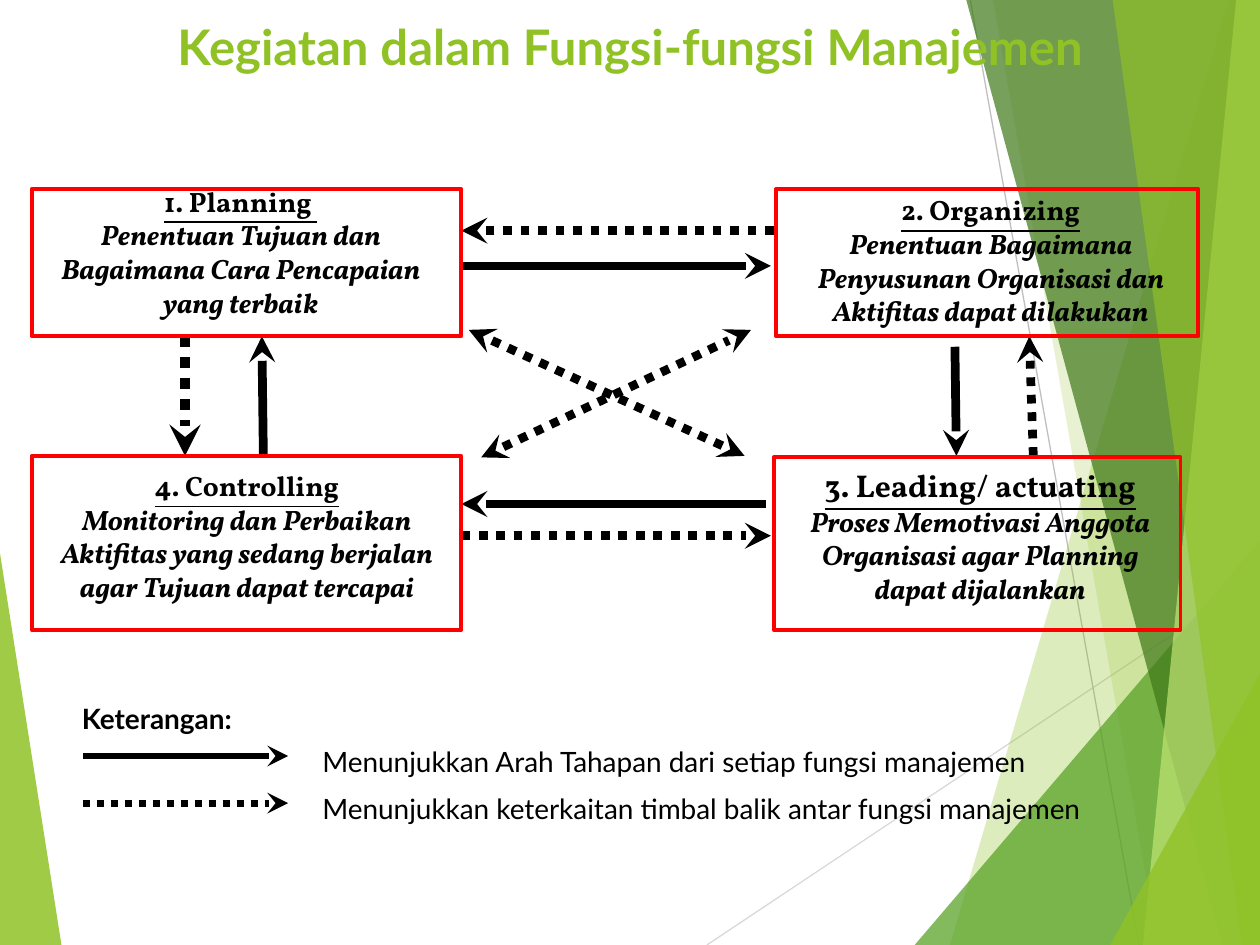
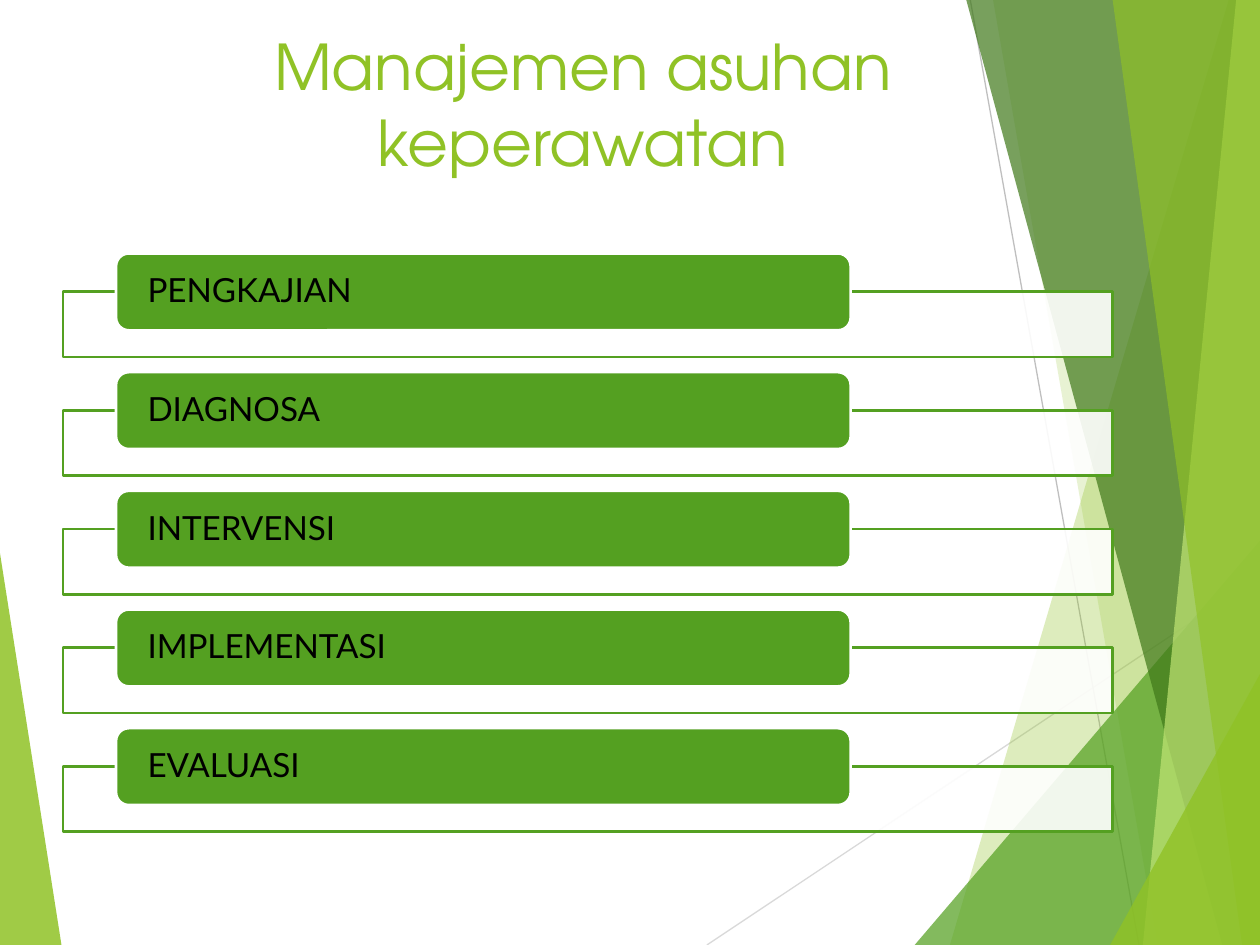
from dataclasses import dataclass

from lxml import etree
from pptx import Presentation
from pptx.dml.color import RGBColor
from pptx.enum import dml, shapes, text
from pptx.oxml import ns
from pptx.util import Cm, Pt


@dataclass(frozen=True)
class Theme:
    green: str = "90C226"
    leaf: str = "54A021"
    forest: str = "3F7819"
    lime: str = "C0E474"
    silver: str = "D9D9D9"
    grey: str = "BFBFBF"
    red: str = "FF0000"
    black: str = "000000"
    white: str = "FFFFFF"
    sans: str = "Lato"
    serif: str = "Vollkorn"
    display: str = "TeX Gyre Adventor"
    body_size: int = 16
    step_size: int = 19
    arrow_width: float = 5


@dataclass(frozen=True)
class Box:
    """A region in centimetres."""
    left: float
    top: float
    width: float
    height: float

    def inside(self, left, top, width, height):
        return Box(self.left + left, self.top + top, width, height)

    def point(self, x, y):
        return Cm(self.left + x), Cm(self.top + y)

    def lengths(self):
        return [Cm(n) for n in (self.left, self.top, self.width, self.height)]


THEME = Theme()
SLIDE = Box(0, 0, 25.4, 19.05)
TITLE_ONLY = 5


# Formatting helpers
def apply(target, values):
    for name, value in values.items():
        setattr(target, name, value)


def add_run(paragraph, words, size, name, color=THEME.black, **more):
    run = paragraph.add_run()
    run.text = words
    apply(run.font, {"size": Pt(size), "name": name, **more})
    run.font.color.rgb = RGBColor.from_string(color)


def set_frame(frame, anchor=text.MSO_ANCHOR.TOP, side=0.18, edge=0.08):
    apply(frame, {
        "word_wrap": True, "auto_size": text.MSO_AUTO_SIZE.NONE,
        "vertical_anchor": anchor,
        "margin_left": Cm(side), "margin_right": Cm(side),
        "margin_top": Cm(edge), "margin_bottom": Cm(edge),
    })


def paint(shape, fill=None, opacity=100, line=None, width=1.5):
    shape.shadow.inherit = False
    if fill:
        shape.fill.solid()
        shape.fill.fore_color.rgb = RGBColor.from_string(fill)
        color = shape.element.spPr.find(ns.qn("a:solidFill"))[0]
        if opacity < 100:
            etree.SubElement(color, ns.qn("a:alpha"), val=str(opacity * 1000))
    else:
        shape.fill.background()
    if line:
        shape.line.color.rgb = RGBColor.from_string(line)
        shape.line.width = Pt(width)
    else:
        shape.line.fill.background()


def add_line(slide, start, end, color, width, dotted=False, arrows=()):
    connector = slide.shapes.add_connector(
        shapes.MSO_CONNECTOR.STRAIGHT, *start, *end)
    connector.line.color.rgb = RGBColor.from_string(color)
    connector.line.width = Pt(width)
    if dotted:
        connector.line.dash_style = dml.MSO_LINE.ROUND_DOT
    properties = connector.element.spPr
    for arrow in arrows:
        etree.SubElement(properties.find(ns.qn("a:ln")), ns.qn(f"a:{arrow}"),
                         type="stealth")
    etree.SubElement(properties, ns.qn("a:effectLst"))
    return connector


def add_text(slide, box, anchor=text.MSO_ANCHOR.TOP):
    frame = slide.shapes.add_textbox(*box.lengths()).text_frame
    set_frame(frame, anchor)
    return frame.paragraphs[0]


def add_title(slide, box, words, size, name, **more):
    title = slide.shapes.title
    apply(title, dict(zip(("left", "top", "width", "height"), box.lengths())))
    set_frame(title.text_frame, side=0.25, edge=0.13)
    paragraph = title.text_frame.paragraphs[0]
    paragraph.alignment = text.PP_ALIGN.CENTER
    add_run(paragraph, words, size, name, THEME.green, **more)


# Shared backdrop, kept in the layout
def add_polygon(slide, box, points, color, opacity):
    first, *others = [box.point(*point) for point in points]
    builder = slide.shapes.build_freeform(*first)
    builder.add_line_segments(others)
    polygon = builder.convert_to_shape()
    paint(polygon, color, opacity)
    return polygon


def add_backdrop(slide, layout, box):
    right, bottom = box.width, box.height

    def band(top_x, bottom_x, color, opacity):
        points = [(top_x, 0), (bottom_x, bottom), (right, bottom), (right, 0)]
        return add_polygon(slide, box, points, color, opacity)

    def corner(side_x, bottom_x, side_y, color, opacity):
        points = [(bottom_x, bottom), (side_x, side_y), (side_x, bottom)]
        return add_polygon(slide, box, points, color, opacity)

    parts = [
        corner(0, 1.24, 11.15, THEME.green, 85),
        add_line(slide, box.point(14.25, bottom), box.point(right, 11.62),
                 THEME.silver, 0.75),
        add_line(slide, box.point(19.56, 0), box.point(22.96, bottom),
                 THEME.grey, 0.75),
        band(24.77, 19.15, THEME.green, 30),
        band(20.02, 23.34, THEME.green, 20),
        corner(right, 18.44, 10.9, THEME.leaf, 72),
        band(19.48, 24.64, THEME.forest, 70),
        band(24.92, 23.04, THEME.lime, 70),
        band(22.43, 25.04, THEME.green, 65),
        corner(right, 22.38, 13.59, THEME.green, 80),
    ]
    for index, part in enumerate(parts):
        part.element.xpath(".//p:cNvPr")[0].set("id", str(100 + index))
        layout.shapes.element.insert(2 + index, part.element)


# Slide 1: cycle of management functions
def add_function_card(slide, box, text_box, anchor, heading, detail,
                      heading_size=THEME.body_size):
    card = slide.shapes.add_shape(shapes.MSO_SHAPE.RECTANGLE, *box.lengths())
    paint(card, line=THEME.red, width=2.25)
    paragraph = add_text(slide, box.inside(*text_box), anchor)
    paragraph.alignment = text.PP_ALIGN.CENTER
    add_run(paragraph, heading, heading_size, THEME.serif,
            bold=True, underline=True)
    paragraph.add_line_break()
    add_run(paragraph, detail, THEME.body_size, THEME.serif,
            bold=True, italic=True)


def add_cycle(slide, box):
    one_way, both_ways = ("tailEnd",), ("headEnd", "tailEnd")
    stage_arrows = [
        ((8.66, 1.55), (14.9, 1.55)),
        ((18.61, 3.18), (18.64, 5.38)),
        ((14.8, 6.35), (8.66, 6.35)),
        ((4.67, 5.38), (4.64, 2.97)),
    ]
    feedback_arrows = [
        ((14.96, 0.84), (8.66, 0.84)),
        ((20.19, 5.38), (20.11, 2.97)),
        ((8.66, 6.99), (14.9, 6.99)),
    ]
    cross_arrows = [
        ((9.06, 5.41), (14.5, 2.84)),
        ((14.37, 5.38), (8.81, 2.84)),
    ]
    for arrows, dotted, ends in ((stage_arrows, False, one_way),
                                 (feedback_arrows, True, one_way),
                                 (cross_arrows, True, both_ways)):
        for start, end in arrows:
            add_line(slide, box.point(*start), box.point(*end), THEME.black,
                     THEME.arrow_width, dotted, ends)
    add_line(slide, box.point(3.09, 2.97), box.point(3.09, 5.38), THEME.black,
             6, True, one_way)

    middle, top = text.MSO_ANCHOR.MIDDLE, text.MSO_ANCHOR.TOP
    add_function_card(
        slide, box.inside(0, 0, 8.66, 2.97), (0.2, -0.43, 8.03, 3.38), middle,
        "1. Planning ",
        "Penentuan Tujuan dan Bagaimana Cara Pencapaian yang terbaik")
    add_function_card(
        slide, box.inside(15.01, 0, 8.51, 2.97), (0.02, 0, 8.61, 3.02), top,
        "2. Organizing",
        "Penentuan Bagaimana Penyusunan Organisasi dan Aktifitas dapat "
        "dilakukan")
    add_function_card(
        slide, box.inside(14.96, 5.41, 8.2, 3.48), (0.07, 0.1, 8.18, 2.54),
        top, "3. Leading/ actuating",
        "Proses Memotivasi Anggota Organisasi agar Planning dapat dijalankan",
        heading_size=18)
    add_function_card(
        slide, box.inside(0, 5.38, 8.66, 3.51), (0.2, 0.34, 8.28, 2.54),
        middle, "4. Controlling",
        "Monitoring dan Perbaikan Aktifitas yang sedang berjalan agar Tujuan "
        "dapat tercapai")


def add_legend(slide, box):
    label = add_text(slide, box.inside(0, 0, 16.56, 0.97))
    add_run(label, "Keterangan:", THEME.body_size, THEME.sans, bold=True)
    entries = [
        ("Menunjukkan Arah Tahapan dari setiap fungsi manajemen", False),
        ("Menunjukkan keterkaitan timbal balik antar fungsi manajemen", True),
    ]
    for row, (words, dotted) in enumerate(entries):
        y = 0.86 + row * 0.95
        add_line(slide, box.point(0.2, y + 0.31), box.point(4.34, y + 0.31),
                 THEME.black, 4, dotted, ("tailEnd",))
        entry = add_text(slide, box.inside(4.85, y, 16.56, 0.79))
        add_run(entry, words, THEME.body_size, THEME.sans)


def fill_functions_slide(slide):
    add_title(slide, Box(1.27, 0.2, 22.86, 3.18),
              "Kegiatan dalam Fungsi-fungsi Manajemen", 28, THEME.sans,
              bold=True)
    add_cycle(slide, Box(0.64, 3.81, 23.52, 8.89))
    add_legend(slide, Box(1.47, 14.07, 21.41, 2.6))


# Slide 2: steps of nursing care
def add_step(slide, box, words):
    frame = slide.shapes.add_shape(
        shapes.MSO_SHAPE.RECTANGLE,
        *box.inside(0, 0.77, box.width, 1.32).lengths())
    paint(frame, THEME.white, 90, THEME.leaf)
    pill = slide.shapes.add_shape(
        shapes.MSO_SHAPE.ROUNDED_RECTANGLE,
        *box.inside(1.07, 0, 14.81, 1.55).lengths())
    paint(pill, THEME.leaf, line=THEME.white)
    set_frame(pill.text_frame, text.MSO_ANCHOR.MIDDLE, side=0.56, edge=0)
    paragraph = pill.text_frame.paragraphs[0]
    apply(paragraph, {"alignment": text.PP_ALIGN.LEFT, "line_spacing": 0.9})
    add_run(paragraph, words, THEME.step_size, THEME.sans)


def add_steps(slide, box, steps):
    height = 2.09
    pitch = (box.height - height) / (len(steps) - 1)
    for row, words in enumerate(steps):
        add_step(slide, box.inside(0, row * pitch, box.width, height), words)


def fill_care_slide(slide):
    add_title(slide, Box(1.27, 0.43, 20.96, 3.81),
              "Manajemen asuhan keperawatan", 36, THEME.display)
    add_steps(slide, Box(1.27, 5.11, 21.16, 11.66),
              ["PENGKAJIAN", "DIAGNOSA", "INTERVENSI", "IMPLEMENTASI",
               "EVALUASI"])


def main():
    presentation = Presentation()
    presentation.slide_width = Cm(SLIDE.width)
    presentation.slide_height = Cm(SLIDE.height)
    layout = presentation.slide_layouts[TITLE_ONLY]
    functions_slide, care_slide = [
        presentation.slides.add_slide(layout) for _ in range(2)]
    add_backdrop(functions_slide, layout, SLIDE)
    fill_functions_slide(functions_slide)
    fill_care_slide(care_slide)
    presentation.save("out.pptx")


if __name__ == "__main__":
    main()
